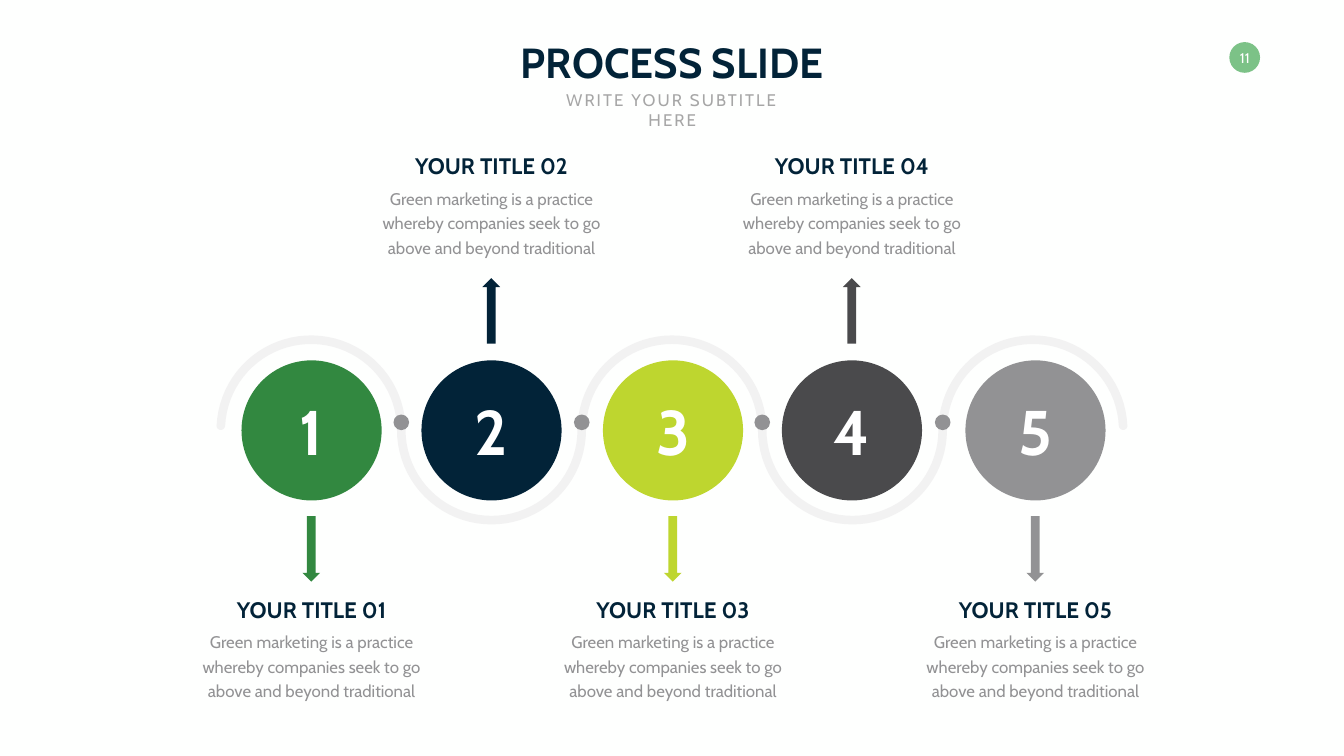
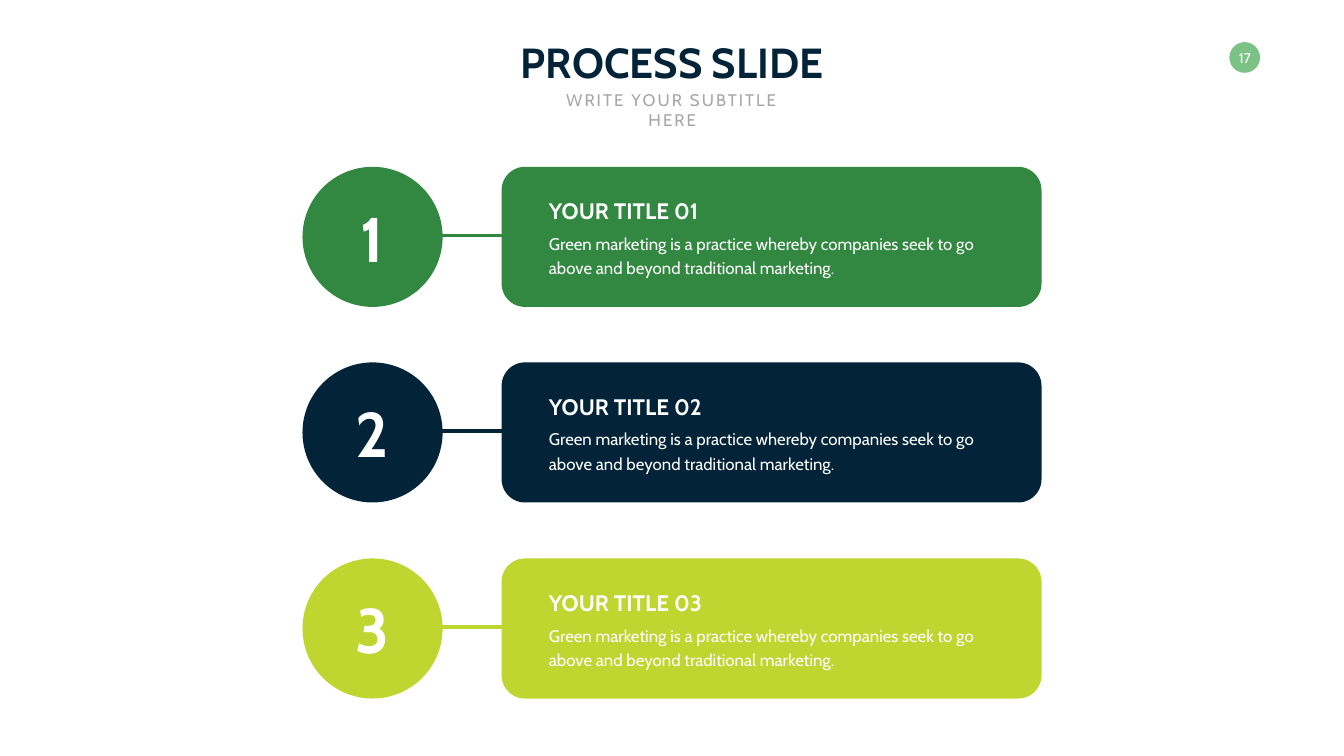
from dataclasses import dataclass
from math import asin, cos, pi, sin

from pptx import Presentation
from pptx.dml.color import RGBColor
from pptx.enum.shapes import MSO_CONNECTOR, MSO_SHAPE
from pptx.enum.text import MSO_ANCHOR, PP_ALIGN
from pptx.oxml.ns import qn
from pptx.util import Inches, Pt
from lxml.etree import SubElement


@dataclass(frozen=True)
class Theme:
    font: str = "Cabin"
    background: str = "FEFFFE"
    white: str = "FFFFFF"
    green: str = "328840"
    navy: str = "022338"
    lime: str = "BED62F"
    charcoal: str = "4A4A4C"
    gray: str = "929294"
    badge: str = "7CC287"
    subtitle: str = "A6A6A6"
    track: str = "F2F2F2"
    title_size: int = 60
    heading_size: int = 32
    body_size: int = 24
    badge_size: int = 20
    number_size: int = 90
    body_leading: int = 35


THEME = Theme()
STEP_COLORS = (THEME.green, THEME.navy, THEME.lime, THEME.charcoal, THEME.gray)
BODY = "Green marketing is a practice whereby companies seek to go above and beyond traditional"
CIRCLE = 2.78

STEP_CENTERS = (6.18, 9.75, 13.35, 16.9, 20.54)
STEP_MIDDLE = 8.54

WAVE_START = 6.17
WAVE_STEP = 3.58
WAVE_MIDDLE = 8.53
WAVE_RADIUS = WAVE_STEP / 2
WAVE_HALF_WIDTH = 0.085

ROW_TOPS = (3.31, 7.19, 11.08)


def rgb(color):
    return RGBColor.from_string(color)


def paint(shape, color):
    shape.shadow.inherit = False
    shape.fill.solid()
    shape.fill.fore_color.rgb = rgb(color)
    shape.line.fill.background()


def add_filled(page, kind, left, top, width, height, color):
    shape = page.shapes.add_shape(
        kind, Inches(left), Inches(top), Inches(width), Inches(height))
    paint(shape, color)


def add_circle(page, center, middle, size, color):
    add_filled(page, MSO_SHAPE.OVAL, center - size / 2, middle - size / 2,
               size, size, color)


def add_text(page, text, left, top, width, height, size, color, bold=False,
             align=PP_ALIGN.CENTER, anchor=MSO_ANCHOR.TOP, wrap=False,
             side_inset=0.1, end_inset=0.05):
    """Add a one-paragraph text box and return its paragraph."""
    box = page.shapes.add_textbox(
        Inches(left), Inches(top), Inches(width), Inches(height))
    frame = box.text_frame
    frame.word_wrap = wrap
    frame.vertical_anchor = anchor
    frame.margin_left = frame.margin_right = Inches(side_inset)
    frame.margin_top = frame.margin_bottom = Inches(end_inset)
    para = frame.paragraphs[0]
    para.text = text
    para.alignment = align
    para.font.name = THEME.font
    para.font.size = Pt(size)
    para.font.bold = bold
    para.font.color.rgb = rgb(color)
    return para


def add_heading(page, text, left, top, width, color, align):
    add_text(page, text, left, top, width, 0.64, THEME.heading_size, color,
             bold=True, align=align, anchor=MSO_ANCHOR.BOTTOM)


def add_body(page, text, left, top, width, height, color, align):
    para = add_text(page, text, left, top, width, height, THEME.body_size,
                    color, align=align, wrap=True)
    para.line_spacing = Pt(THEME.body_leading)


def add_number(page, number, center, middle):
    add_text(page, str(number), center - 0.5, middle - 0.81, 1, 1.62,
             THEME.number_size, THEME.white, bold=True, anchor=MSO_ANCHOR.MIDDLE)


def add_link(page, left, right, middle, color):
    link = page.shapes.add_connector(
        MSO_CONNECTOR.STRAIGHT, Inches(left), Inches(middle),
        Inches(right), Inches(middle))
    link.line.color.rgb = rgb(color)
    link.line.width = Pt(5)
    SubElement(link._element.spPr, qn("a:effectLst"))


def add_page(deck, page_number):
    """Add a blank page with the shared title, subtitle and number badge."""
    page = deck.slides.add_slide(deck.slide_layouts[6])
    add_circle(page, 24.69, 1.14, 0.61, THEME.badge)
    add_text(page, str(page_number), 24.5, 0.97, 0.39, 0.34, THEME.badge_size,
             THEME.white, anchor=MSO_ANCHOR.MIDDLE, side_inset=0, end_inset=0)
    add_text(page, "PROCESS SLIDE", 10.09, 0.67, 6.48, 1.11,
             THEME.title_size, THEME.navy, bold=True)
    subtitle = add_text(page, "WRITE YOUR SUBTITLE HERE", 10.62, 1.73, 5.43, 0.5,
                        THEME.body_size, THEME.subtitle, wrap=True)
    for span in subtitle.runs:
        span._r.get_or_add_rPr().set("spc", "300")
    return page


def arc_points(center, middle, radius, start, end, steps=40):
    """Points along an arc; angles grow counterclockwise from the right."""
    angles = (start + (end - start) * step / steps for step in range(steps + 1))
    return [(center + radius * cos(angle), middle - radius * sin(angle))
            for angle in angles]


def wave_edge(offset):
    """Left-to-right edge of the wave, shifted outward on upper arcs."""
    tip = asin(WAVE_HALF_WIDTH / WAVE_RADIUS)
    last = len(STEP_CENTERS) - 1
    points = []
    for index in range(last + 1):
        upward = 1 if index % 2 == 0 else -1
        start = pi - tip if index == 0 else upward * pi
        end = tip if index == last else 0
        points += arc_points(WAVE_START + WAVE_STEP * index, WAVE_MIDDLE,
                             WAVE_RADIUS + upward * offset, start, end)
    return points


def add_wave(page):
    upper = wave_edge(WAVE_HALF_WIDTH)
    lower = wave_edge(-WAVE_HALF_WIDTH)
    cap_middle = WAVE_MIDDLE - WAVE_HALF_WIDTH
    span = WAVE_STEP * (len(STEP_CENTERS) - 1)
    left_tip = WAVE_START - WAVE_RADIUS
    right_tip = WAVE_START + span + WAVE_RADIUS
    right_cap = arc_points(right_tip, cap_middle, WAVE_HALF_WIDTH, 0, -pi, 12)
    left_cap = arc_points(left_tip, cap_middle, WAVE_HALF_WIDTH, 0, -pi, 12)
    outline = [(Inches(x), Inches(y))
               for x, y in upper + right_cap + lower[::-1] + left_cap]
    builder = page.shapes.build_freeform(*outline[0])
    builder.add_line_segments(outline[1:], close=True)
    paint(builder.convert_to_shape(), THEME.track)


def add_wave_step(page, number, center, color):
    """Add a step's arrow and text, below for odd numbers and above for even."""
    if number % 2:
        arrow, arrow_top, heading_top = MSO_SHAPE.DOWN_ARROW, 10.24, 11.77
    else:
        arrow, arrow_top, heading_top = MSO_SHAPE.UP_ARROW, 5.52, 2.97
    add_circle(page, center, STEP_MIDDLE, CIRCLE, color)
    add_filled(page, arrow, center - 0.18, arrow_top, 0.35, 1.3, color)
    add_body(page, BODY, center - 2.35, heading_top + 0.63, 4.7, 1.52,
             THEME.gray, PP_ALIGN.CENTER)
    add_heading(page, f"YOUR TITLE {number:02}", center - 1.67, heading_top, 3.34,
                THEME.navy, PP_ALIGN.CENTER)
    add_number(page, number, center, STEP_MIDDLE)


def add_row_step(page, number, top, color):
    middle = top + CIRCLE / 2
    add_circle(page, 7.39, middle, CIRCLE, color)
    add_filled(page, MSO_SHAPE.ROUNDED_RECTANGLE, 9.95, top, 10.71, CIRCLE, color)
    add_link(page, 8.57, 9.96, top + 1.36, color)
    add_body(page, f"{BODY} marketing.", 10.79, top + 1.19, 9.04, 1.03,
             THEME.white, PP_ALIGN.LEFT)
    add_heading(page, f"YOUR TITLE {number:02}", 10.79, top + 0.55, 3.34,
                THEME.white, PP_ALIGN.LEFT)
    add_number(page, number, 7.39, middle)


def build_wave_page(deck):
    page = add_page(deck, 11)
    add_wave(page)
    for index in range(len(STEP_CENTERS) - 1):
        add_circle(page, WAVE_START + WAVE_STEP * (index + 0.5), 8.38, 0.31, THEME.gray)
    for number, (center, color) in enumerate(zip(STEP_CENTERS, STEP_COLORS), 1):
        add_wave_step(page, number, center, color)


def build_rows_page(deck):
    page = add_page(deck, 17)
    for number, (top, color) in enumerate(zip(ROW_TOPS, STEP_COLORS), 1):
        add_row_step(page, number, top, color)


def main():
    deck = Presentation()
    deck.slide_width = Inches(26.66)
    deck.slide_height = Inches(15)
    backdrop = deck.slide_master.background.fill
    backdrop.solid()
    backdrop.fore_color.rgb = rgb(THEME.background)
    build_wave_page(deck)
    build_rows_page(deck)
    deck.save("out.pptx")


if __name__ == "__main__":
    main()
